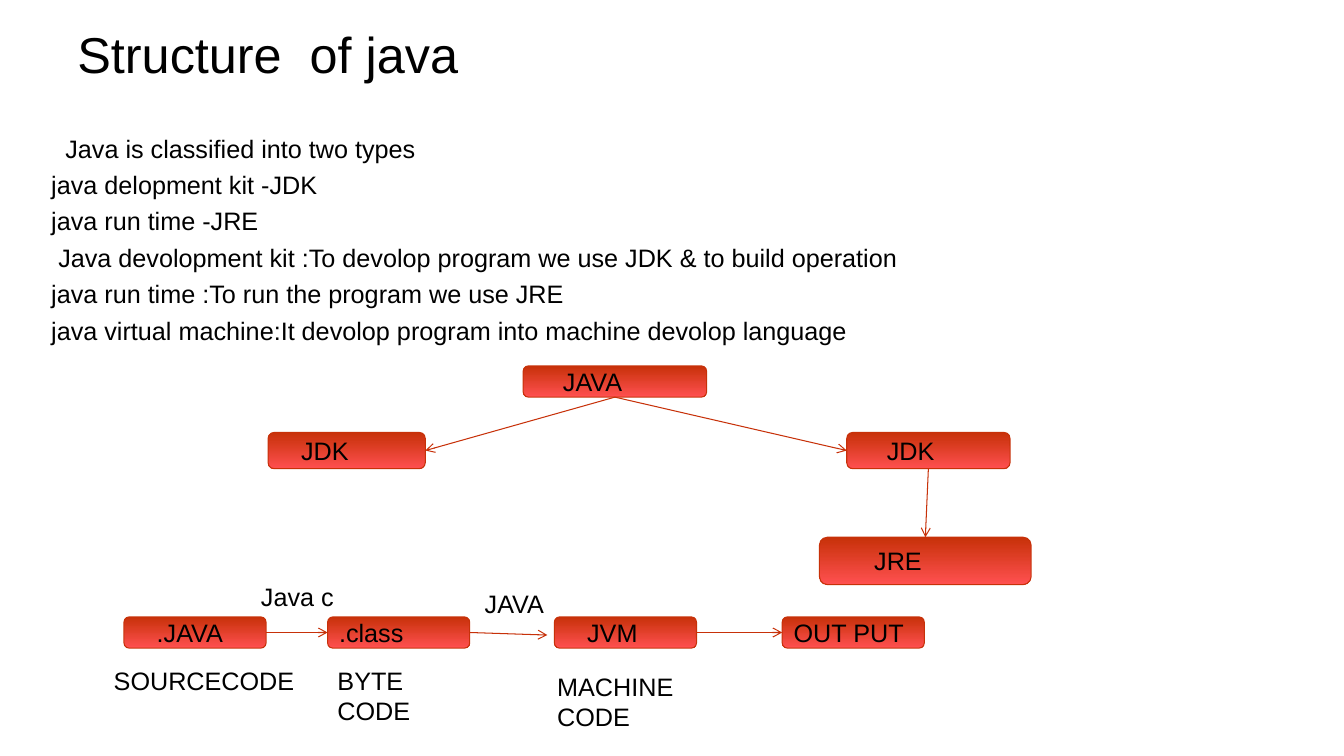
from dataclasses import dataclass

from lxml import etree
from pptx import Presentation, util as u
from pptx.dml.color import RGBColor
from pptx.enum import shapes, text
from pptx.oxml import ns

# Grid cells are a tenth of an inch: 133.33 columns by 75 rows.
CELL = 91440
COLS, ROWS = 133.33, 75
FONT = "Arial"
BLACK = RGBColor(0x00, 0x00, 0x00)
RUST = RGBColor(0xC7, 0x31, 0x09)
CORAL = RGBColor(0xFF, 0x50, 0x50)
TOP, LEFT, BASE, RIGHT = range(4)
PAD = 1
SPACE = 0.7


@dataclass
class Node:
    """A box; pad is the indent of its text, in spaces."""
    name: str
    col: float
    row: float
    wide: float
    high: float
    pad: int = 0


@dataclass
class Label:
    """A caption that stands free of the boxes."""
    name: str
    col: float
    row: float
    wide: float


@dataclass
class Link:
    """An arrow between sides of two boxes."""
    start: str
    out: int
    end: str
    into: int


FLOW_ROW, FLOW_WIDE, FLOW_HIGH = 61.2, 14.1, 3.1
NODES = {
    "java": Node("JAVA", 51.9, 36.3, 18.2, 3.1, 4),
    "jdk": Node("JDK", 26.6, 42.9, 15.6, 3.6, 3),
    "jdk2": Node("JDK", 84, 42.9, 16.2, 3.6, 4),
    "jre": Node("JRE", 81.3, 53.3, 21, 4.7, 6),
}
FLOW = [("source", ".JAVA", 12.3, 3), ("class", ".class", 32.5, 0),
        ("jvm", "JVM", 55, 3), ("output", "OUT PUT", 77.6, 0)]
for key, name, col, pad in FLOW:
    NODES[key] = Node(name, col, FLOW_ROW, FLOW_WIDE, FLOW_HIGH, pad)

LINKS = [
    Link("java", BASE, "jdk", RIGHT),
    Link("java", BASE, "jdk2", LEFT),
    Link("jdk2", BASE, "jre", TOP),
    Link("source", RIGHT, "class", LEFT),
    Link("jvm", RIGHT, "output", LEFT),
]
LABELS = [
    Label("SOURCECODE", 10.3, 65.5, 19.9),
    Label("BYTE CODE", 32.5, 65.5, 16.4),
    Label("Java c", 24.9, 57.2, 9.2),
    Label("JAVA", 47.1, 57.9, 7.9),
    Label("MACHINE CODE", 54.3, 66.1, 21.4),
]
# Each line of the body with its indent in spaces.
BODY = [
    ("Java is classified into two types", 2),
    ("java delopment kit -JDK", 0),
    ("java run time -JRE", 0),
    ("Java devolopment kit :To devolop program we use JDK & to build operation", 1),
    ("java run time :To run the program we use JRE", 0),
    ("java virtual machine:It devolop program into machine devolop language", 0),
]


def cells(*nums: float) -> list[u.Emu]:
    """Turn grid cells into lengths."""
    return [u.Emu(round(n * CELL)) for n in nums]


def write(shape, lines, size=18, wrap=True, mid=False, left=PAD, edge=0.5, gap=0):
    """Put lines of (words, indent) into a shape."""
    frame = shape.text_frame
    frame.word_wrap = wrap
    frame.vertical_anchor = text.MSO_ANCHOR.MIDDLE if mid else text.MSO_ANCHOR.TOP
    frame.margin_left, frame.margin_right = cells(left, PAD)
    frame.margin_top, frame.margin_bottom = cells(edge, edge)
    for i, (words, pad) in enumerate(lines):
        para = frame.add_paragraph() if i else frame.paragraphs[0]
        para.alignment = text.PP_ALIGN.LEFT
        para.space_before = u.Pt(gap)
        if pad:
            para._p.get_or_add_pPr().set("marL", str(cells(pad * SPACE)[0]))
        run = para.add_run()
        run.text = words
        run.font.name, run.font.size = FONT, u.Pt(size)
        run.font.color.rgb = BLACK


def block(slide, col: float, row: float, wide: float, high: float, lines, **form):
    """Add a text box on the grid."""
    box = slide.shapes.add_textbox(*cells(col, row, wide, high))
    write(box, lines, **form)


def draw(slide, node: Node):
    """Add a rounded box with a gradient."""
    box = slide.shapes.add_shape(shapes.MSO_SHAPE.ROUNDED_RECTANGLE,
                                 *cells(node.col, node.row, node.wide, node.high))
    box.shadow.inherit = False
    box.fill.gradient()
    box.fill.gradient_angle = 270
    for stop, tint, spot in zip(box.fill.gradient_stops, (RUST, CORAL), (0, 1)):
        stop.color.rgb, stop.position = tint, spot
    box.line.color.rgb, box.line.width = RUST, u.Pt(0.75)
    write(box, [(node.name, 0)], mid=True, left=PAD + node.pad * SPACE, edge=0)
    return box


def arrow(slide, start, out: int, end=None, into: int = LEFT, spot=(0, 0)):
    """Add an arrow from a box to a box, or to a free spot."""
    line = slide.shapes.add_connector(shapes.MSO_CONNECTOR.STRAIGHT,
                                      *cells(0, 0, *spot))
    line.begin_connect(start, out)
    if end is not None:
        line.end_connect(end, into)
    line.line.color.rgb, line.line.width = RUST, u.Pt(0.75)
    props = line._element.spPr
    tip = etree.SubElement(props.find(ns.qn("a:ln")), ns.qn("a:tailEnd"))
    tip.set("type", "arrow")
    etree.SubElement(props, ns.qn("a:effectLst"))


def main():
    """Build the slide and save it."""
    deck = Presentation()
    deck.slide_width, deck.slide_height = cells(COLS, ROWS)
    slide = deck.slides.add_slide(deck.slide_layouts[6])
    block(slide, 6.7, 2.1, 120, 6.4, [("Structure  of java", 0)], size=36, mid=True)
    block(slide, 4.1, 12.7, 122.6, 59.7, BODY, gap=4.4)
    boxes = {key: draw(slide, node) for key, node in NODES.items()}
    for link in LINKS:
        arrow(slide, boxes[link.start], link.out, boxes[link.end], link.into)
    arrow(slide, boxes["class"], RIGHT, spot=(54.3, 63))
    for tag in LABELS:
        block(slide, tag.col, tag.row, tag.wide, 4, [(tag.name, 0)], wrap=False)
    deck.save("out.pptx")


main()
